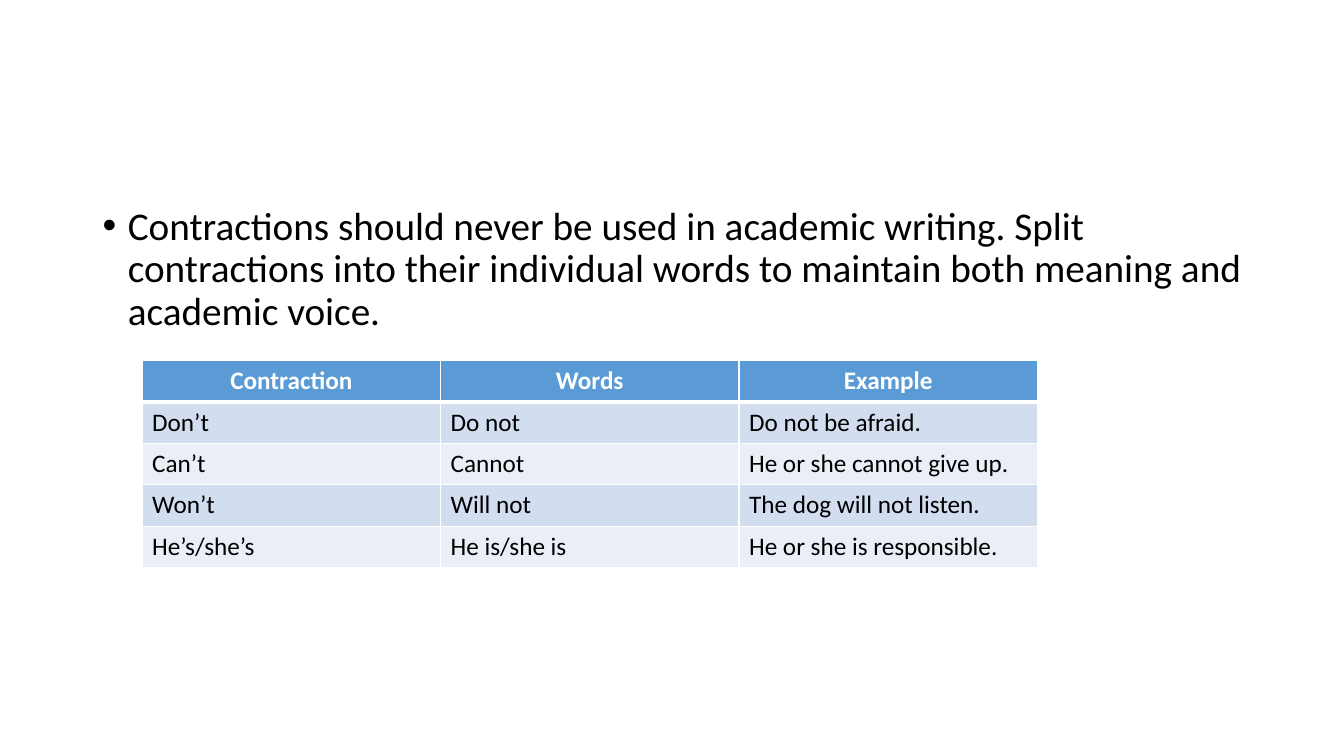
from lxml import etree
from pptx import Presentation
from pptx.dml.color import RGBColor
from pptx.enum.text import MSO_ANCHOR, PP_ALIGN
from pptx.oxml.ns import qn
from pptx.util import Inches, Pt

FONT = "Calibri"
COLORS = {
    "text": "000000",
    "white": "FFFFFF",
    "header": "5B9BD5",
    "odd_row": "D2DEEF",
    "even_row": "EAEFF7",
}
ADVICE = (
    "Contractions should never be used in academic writing. Split contractions "
    "into their individual words to maintain both meaning and academic voice."
)
CONTRACTIONS = [
    ("Contraction", "Words", "Example"),
    ("Don’t", "Do not", "Do not be afraid."),
    ("Can’t", "Cannot", "He or she cannot give up."),
    ("Won’t", "Will not", "The dog will not listen."),
    ("He’s/she’s", "He is/she is", "He or she is responsible."),
]
COLUMN_WIDTH = Inches(2.96)
ROW_HEIGHT = Inches(0.41)


def rgb(name):
    return RGBColor.from_string(COLORS[name])


def style_runs(paragraph, size, color, bold=False):
    for run in paragraph.runs:
        run.font.name = FONT
        run.font.size = Pt(size)
        run.font.bold = bold
        run.font.color.rgb = rgb(color)


def add_bullet(paragraph, indent):
    """Hang a round bullet; call it after the paragraph spacing is set."""
    props = paragraph._p.get_or_add_pPr()
    props.set("marL", str(indent))
    props.set("indent", str(-indent))
    etree.SubElement(props, qn("a:buFont"), typeface="Arial")
    etree.SubElement(props, qn("a:buChar"), char="•")


def add_advice(slide):
    box = slide.shapes.add_textbox(Inches(0.92), Inches(2), Inches(11.5), Inches(4.76))
    frame = box.text_frame
    frame.word_wrap = True
    frame.text = ADVICE
    paragraph = frame.paragraphs[0]
    paragraph.line_spacing = 0.9
    paragraph.space_before = Pt(10)
    add_bullet(paragraph, Inches(0.25))
    style_runs(paragraph, 28, "text")


def set_borders(cell, top, bottom):
    """Draw white cell borders; call it before the cell fill is set."""
    props = cell._tc.get_or_add_tcPr()
    for side, width in (("L", 1), ("R", 1), ("T", top), ("B", bottom)):
        line = etree.SubElement(props, qn(f"a:ln{side}"), w=str(Pt(width)))
        fill = etree.SubElement(line, qn("a:solidFill"))
        etree.SubElement(fill, qn("a:srgbClr"), val=COLORS["white"])


def fill_cell(cell, text, row):
    is_header = row == 0
    set_borders(cell, top=3 if row == 1 else 1, bottom=3 if is_header else 1)
    cell.fill.solid()
    cell.fill.fore_color.rgb = rgb(
        "header" if is_header else "odd_row" if row % 2 else "even_row"
    )
    cell.vertical_anchor = MSO_ANCHOR.TOP
    cell.text_frame.text = text
    paragraph = cell.text_frame.paragraphs[0]
    paragraph.alignment = PP_ALIGN.CENTER if is_header else PP_ALIGN.LEFT
    style_runs(paragraph, 18, "white" if is_header else "text", bold=is_header)


def add_contraction_table(slide):
    row_count, column_count = len(CONTRACTIONS), len(CONTRACTIONS[0])
    table = slide.shapes.add_table(
        row_count, column_count, Inches(1.41), Inches(3.58),
        COLUMN_WIDTH * column_count, ROW_HEIGHT * row_count,
    ).table
    for row, entries in enumerate(CONTRACTIONS):
        for column, text in enumerate(entries):
            fill_cell(table.cell(row, column), text, row)


def main():
    deck = Presentation()
    deck.slide_width = Inches(13.33)
    deck.slide_height = Inches(7.5)
    slide = deck.slides.add_slide(deck.slide_layouts[6])
    add_advice(slide)
    add_contraction_table(slide)
    deck.save("out.pptx")


if __name__ == "__main__":
    main()
